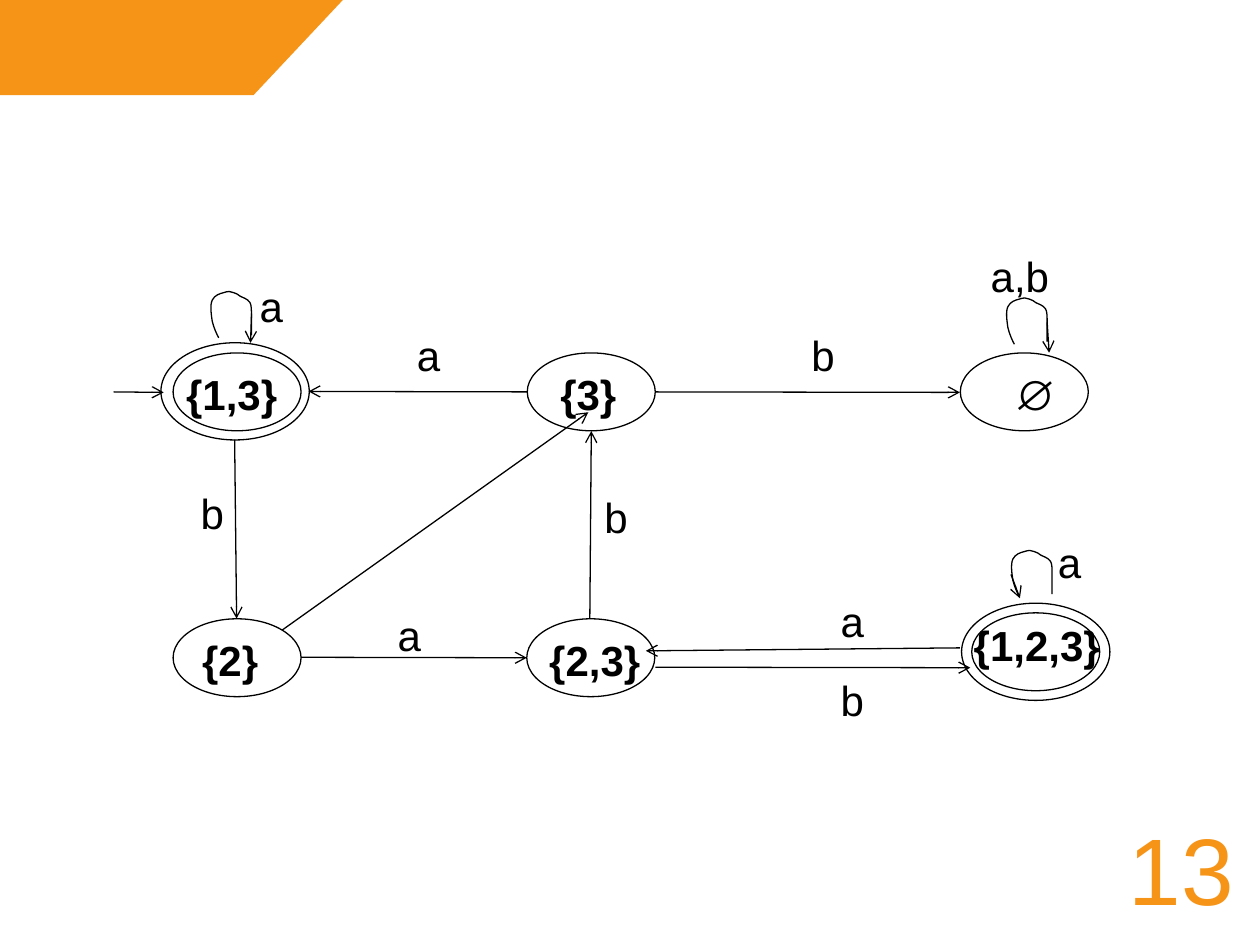
from lxml import etree
from pptx import Presentation
from pptx import util as u
from pptx.dml.color import RGBColor
from pptx.enum import shapes, text
from pptx.oxml.ns import qn

BLACK = RGBColor(0x00, 0x00, 0x00)
ORANGE = RGBColor(0xF6, 0x94, 0x18)
INNER = (2.58, 1.57)
OUTER = (2.99, 1.96)

RINGS = [
    (11.92, 7.9, INNER),
    (20.65, 7.9, INNER),
    (4.78, 7.9, INNER),
    (4.74, 7.89, OUTER),
    (20.88, 13.14, INNER),
    (20.88, 13.14, OUTER),
    (11.91, 13.26, INNER),
    (4.78, 13.26, INNER),
]
NAMES = [
    ("{1,2,3}", 20.9, 12.99, 3.05, True),
    ("∅", 20.87, 7.93, 1.35, False),
    ("{3}", 11.86, 7.94, 1.63, True),
    ("{1,3}", 4.67, 7.94, 2.34, True),
    ("{2,3}", 11.99, 13.31, 2.34, True),
    ("{2}", 4.64, 13.31, 1.63, True),
]
MARKS = [
    ("a,b", 20.56, 5.56),
    ("b", 16.59, 7.15),
    ("b", 12.42, 10.41),
    ("b", 4.28, 10.33),
    ("a", 8.25, 12.8),
    ("a", 5.47, 6.16),
    ("a", 17.18, 12.51),
    ("a", 8.64, 7.15),
    ("b", 17.18, 14.1),
    ("a", 21.56, 11.33),
]
ARROWS = [
    (13.21, 7.9, 19.35, 7.91),
    (5.69, 12.7, 11.86, 8.31),
    (19.35, 13.06, 13.02, 13.12),
    (13.21, 13.45, 19.56, 13.46),
    (21.11, 6.5, 21.15, 7.11),
    (20.38, 11.58, 20.56, 12.06),
    (5.07, 6.32, 5.05, 6.91),
    (4.73, 8.86, 4.77, 12.47),
    (10.64, 7.9, 6.22, 7.89),
    (6.07, 13.25, 10.62, 13.26),
    (2.29, 7.9, 3.3, 7.91),
    (11.89, 12.47, 11.92, 8.69),
]
LOOPS = [(21.11, 6.89), (21.21, 11.98), (5.07, 6.76)]
BENDS = [
    (0, -0.13), (0, -0.28), (0, -0.38),
    (0, -0.51), (0, -0.61), (-0.03, -0.66),
    (-0.08, -0.74), (-0.18, -0.76), (-0.23, -0.79),
    (-0.28, -0.81), (-0.3, -0.86), (-0.36, -0.86),
    (-0.41, -0.89), (-0.48, -0.89), (-0.56, -0.86),
    (-0.64, -0.84), (-0.74, -0.81), (-0.79, -0.71),
    (-0.84, -0.61), (-0.81, -0.41), (-0.79, -0.28),
    (-0.76, -0.15), (-0.69, 0), (-0.66, 0.05),
]
CORNER = [(-0.08, -0.05), (6.96, -0.05), (5.11, 1.92), (-0.08, 1.92)]


def ink(shape):
    """Give a shape a thin black outline and no fill."""
    shape.shadow.inherit = False
    shape.fill.background()
    shape.line.color.rgb = BLACK
    shape.line.width = u.Pt(0.75)


def add_ring(slide, x, y, size):
    """Draw one ellipse around a centre."""
    wide, high = size
    ring = slide.shapes.add_shape(
        shapes.MSO_SHAPE.OVAL, u.Cm(x - wide / 2), u.Cm(y - high / 2), u.Cm(wide), u.Cm(high))
    ink(ring)


def add_label(slide, words, x, y, wide=1.98, bold=False, wrap=False, high=1.27,
              size=24, color=BLACK, align=text.PP_ALIGN.CENTER):
    """Put a line of text around a centre."""
    box = slide.shapes.add_textbox(
        u.Cm(x - wide / 2), u.Cm(y - high / 2), u.Cm(wide), u.Cm(high))
    frame = box.text_frame
    frame.word_wrap = wrap
    frame.auto_size = text.MSO_AUTO_SIZE.SHAPE_TO_FIT_TEXT
    frame.text = words
    para = frame.paragraphs[0]
    para.alignment = align
    font = para.runs[0].font
    font.name = "Arial"
    font.size = u.Pt(size)
    font.bold = bold
    font.color.rgb = color


def add_arrow(slide, x1, y1, x2, y2):
    """Draw a straight line with an open arrowhead at its end."""
    line = slide.shapes.add_connector(
        shapes.MSO_CONNECTOR.STRAIGHT, u.Cm(x1), u.Cm(y1), u.Cm(x2), u.Cm(y2))
    line.line.color.rgb = BLACK
    line.line.width = u.Pt(0.75)
    props = line._element.spPr.find(qn("a:ln"))
    etree.SubElement(props, qn("a:tailEnd"), type="arrow")
    etree.SubElement(line._element.spPr, qn("a:effectLst"))


def add_path(slide, spots, close):
    """Build a freeform through points given in centimetres."""
    first, *rest = [(u.Cm(x), u.Cm(y)) for x, y in spots]
    pen = slide.shapes.build_freeform(*first)
    pen.add_line_segments(rest, close=close)
    return pen.convert_to_shape()


def add_loop(slide, x, y):
    """Draw the curved loop above a state from its right foot."""
    loop = add_path(slide, [(x, y)] + [(x + dx, y + dy) for dx, dy in BENDS], False)
    ink(loop)
    legs = list(loop._element.iter(qn("a:lnTo")))
    track = legs[0].getparent()
    for index in range(0, len(legs), 3):
        curve = etree.SubElement(track, qn("a:cubicBezTo"))
        for leg in legs[index:index + 3]:
            curve.append(leg[0])
            track.remove(leg)


def add_corner(slide):
    """Draw the orange corner band."""
    band = add_path(slide, CORNER, True)
    band.shadow.inherit = False
    band.fill.solid()
    band.fill.fore_color.rgb = ORANGE
    band.line.fill.background()


def main():
    """Build the state diagram slide."""
    deck = Presentation()
    deck.slide_width, deck.slide_height = u.Cm(25.4), u.Cm(19.05)
    slide = deck.slides.add_slide(deck.slide_layouts[6])
    add_corner(slide)
    for ring in RINGS:
        add_ring(slide, *ring)
    for name in NAMES:
        add_label(slide, *name)
    for loop in LOOPS:
        add_loop(slide, *loop)
    for arrow in ARROWS:
        add_arrow(slide, *arrow)
    for mark in MARKS:
        add_label(slide, *mark, wrap=True)
    add_label(slide, "13", 24.2, 17.5, wide=3.4, wrap=True, high=2.54,
              size=54, color=ORANGE, align=text.PP_ALIGN.LEFT)
    deck.save("out.pptx")


if __name__ == "__main__":
    main()
